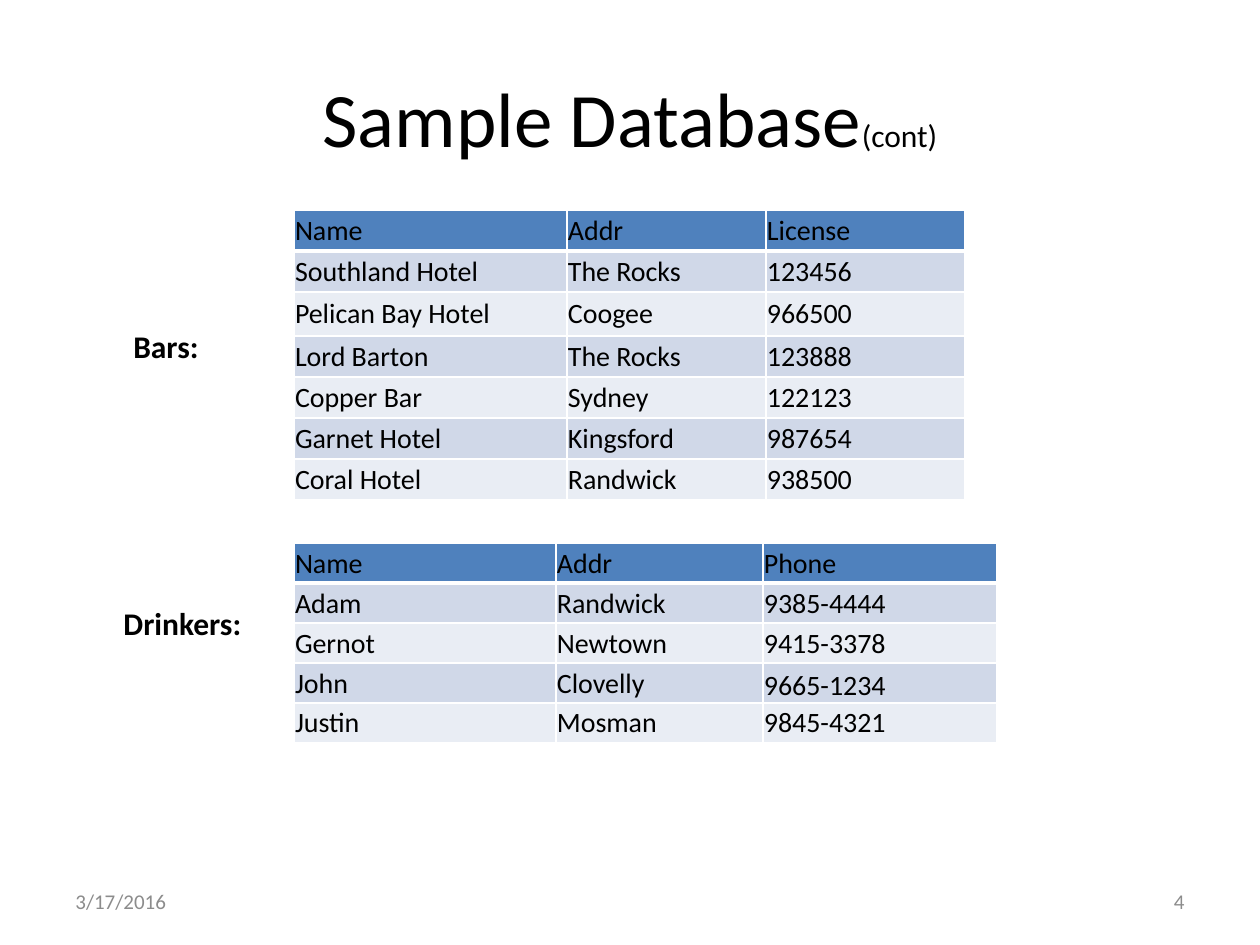
"""Build the sample database slide with its two tables."""
from dataclasses import dataclass

from lxml.etree import SubElement
from pptx import Presentation
from pptx.dml.color import RGBColor as RGB
from pptx.enum.text import MSO_ANCHOR as ANCHOR, MSO_AUTO_SIZE as AUTO, PP_ALIGN as ALIGN
from pptx.oxml.ns import qn
from pptx.util import Pt

PX = 914400 // 126


@dataclass(frozen=True)
class Theme:
    """Colours, font and type sizes."""
    font: str = "Calibri"
    ink: str = "000000"
    muted: str = "8C8C8C"
    head: str = "4F81BD"
    bands: tuple = ("D0D8E8", "E9EDF4")
    rule: str = "FFFFFF"
    title: int = 44
    label: int = 18
    cell: int = 16
    footer: int = 12


T = Theme()

BARS = [
    ("Name", "Addr", "License"),
    ("Southland Hotel", "The Rocks", "123456"),
    ("Pelican Bay Hotel", "Coogee", "966500"),
    ("Lord Barton", "The Rocks", "123888"),
    ("Copper Bar", "Sydney", "122123"),
    ("Garnet Hotel", "Kingsford", "987654"),
    ("Coral Hotel", "Randwick", "938500"),
]
DRINKERS = [
    ("Name", "Addr", "Phone"),
    ("Adam", "Randwick", "9385-4444"),
    ("Gernot", "Newtown", "9415-3378"),
    ("John", "Clovelly", "9665-1234"),
    ("Justin", "Mosman", "9845-4321"),
]


def px(n):
    """Turn pixels into EMU."""
    return n * PX


def add_text(p, text, size, color=T.ink, bold=False, align=None):
    """Add a formatted run to a paragraph."""
    if align is not None:
        p.alignment = align
    r = p.add_run()
    r.text = text
    r.font.name, r.font.size, r.font.bold = T.font, Pt(size), bold
    r.font.color.rgb = RGB.from_string(color)


def add_box(s, x, y, w, h, anchor=ANCHOR.TOP, grow=False):
    """Add a wrapping text box and return its first paragraph."""
    tf = s.shapes.add_textbox(px(x), px(y), px(w), px(h)).text_frame
    tf.word_wrap = True
    tf.vertical_anchor = anchor
    tf.auto_size = AUTO.SHAPE_TO_FIT_TEXT if grow else AUTO.NONE
    return tf.paragraphs[0]


def add_borders(cell, top, bottom):
    """Draw the four borders of a cell."""
    tc_pr = cell._tc.get_or_add_tcPr()
    for tag, width in (("lnL", 1), ("lnR", 1), ("lnT", top), ("lnB", bottom)):
        ln = SubElement(tc_pr, qn(f"a:{tag}"), w=str(Pt(width)))
        fill = SubElement(ln, qn("a:solidFill"))
        SubElement(fill, qn("a:srgbClr"), val=T.rule)


def add_cell(cell, text, row, anchor):
    """Fill, frame and write one table cell."""
    add_borders(cell, 3 if row == 1 else 1, 3 if row == 0 else 1)
    cell.fill.solid()
    cell.fill.fore_color.rgb = RGB.from_string(T.bands[(row - 1) % 2] if row else T.head)
    cell.margin_left = cell.margin_right = cell.margin_top = px(1)
    cell.margin_bottom = 0
    cell.vertical_anchor = anchor
    add_text(cell.text_frame.paragraphs[0], text, T.cell)


def add_grid(s, x, y, cols, heights, rows, low_cells=()):
    """Add a banded table, with low_cells anchored at the bottom."""
    table = s.shapes.add_table(len(rows), len(cols), px(x), px(y),
                               px(sum(cols)), px(sum(heights))).table
    for col, width in zip(table.columns, cols):
        col.width = px(width)
    for i, (values, height) in enumerate(zip(rows, heights)):
        table.rows[i].height = px(height)
        for j, text in enumerate(values):
            anchor = ANCHOR.BOTTOM if (i, j) in low_cells else ANCHOR.MIDDLE
            add_cell(table.cell(i, j), text, i, anchor)


def main():
    """Build and save the slide."""
    prs = Presentation()
    prs.slide_width, prs.slide_height = px(1260), px(945)
    s = prs.slides.add_slide(prs.slide_layouts[6])

    p = add_box(s, 63, 38, 1134, 157, ANCHOR.MIDDLE)
    add_text(p, "Sample Database", T.title, align=ALIGN.CENTER)
    add_text(p, "(cont)", T.label)

    add_grid(s, 294, 210, (273, 199, 199), (41, 41, 44, 41, 41, 41, 41), BARS)
    add_grid(s, 294, 543, (262, 207, 234), (40,) * 5, DRINKERS, {(3, 2)})

    for text, x, y, w in (("Bars:", 121, 321, 116), ("Drinkers:", 111, 598, 147)):
        add_text(add_box(s, x, y, w, 50, grow=True), text, T.label, bold=True)

    for text, x, align in (("3/17/2016", 63, ALIGN.LEFT), ("4", 903, ALIGN.RIGHT)):
        p = add_box(s, x, 876, 294, 50, ANCHOR.MIDDLE)
        add_text(p, text, T.footer, color=T.muted, align=align)

    prs.save("out.pptx")


main()
